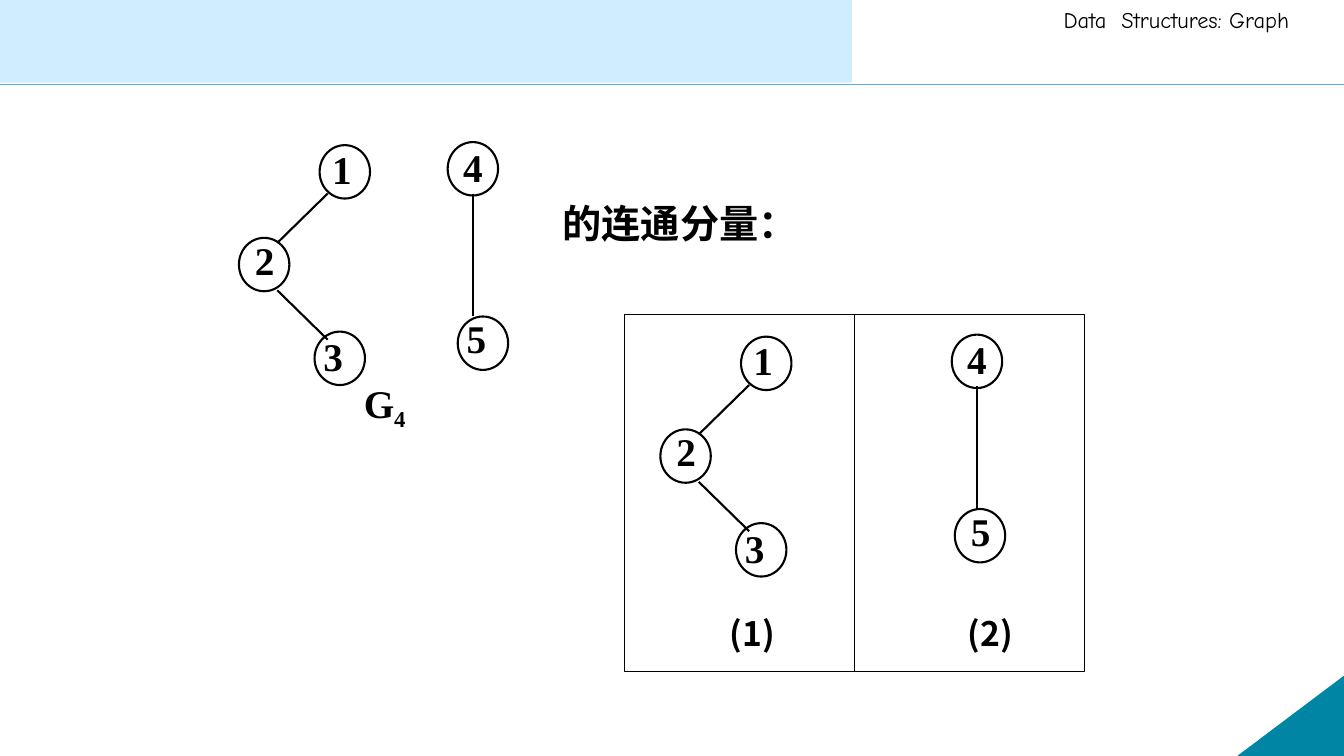
from dataclasses import dataclass

from lxml.etree import SubElement
from pptx import Presentation
from pptx.dml.color import RGBColor
from pptx.enum.shapes import MSO_CONNECTOR, MSO_SHAPE
from pptx.enum.text import MSO_ANCHOR, MSO_AUTO_SIZE, PP_ALIGN
from pptx.oxml.ns import qn
from pptx.util import Inches, Pt


@dataclass(frozen=True)
class Theme:
    ink: str = "000000"
    paper: str = "FFFFFF"
    band: str = "CFEDFE"
    rule: str = "5AAAED"
    corner: str = "0085A4"
    serif: str = "Times New Roman"
    sans: str = "Noto Sans CJK SC"
    casual: str = "Comic Neue"
    large: int = 28
    caption: int = 24
    small: int = 16
    hairline: float = 0.75
    stroke: float = 1.5


THEME = Theme()
NODE_SIZE = (0.5, 0.53)


def write(box, text, font=THEME.serif, size=THEME.large, bold=True, align=PP_ALIGN.LEFT,
          spacing=None, wrap=True, grow=False, subscript=""):
    frame = box.text_frame
    frame.word_wrap = wrap
    frame.vertical_anchor = MSO_ANCHOR.TOP
    frame.auto_size = MSO_AUTO_SIZE.SHAPE_TO_FIT_TEXT if grow else MSO_AUTO_SIZE.NONE
    para = frame.paragraphs[0]
    para.alignment = align
    if spacing:
        para.line_spacing = spacing
    for part in filter(None, (text, subscript)):
        span = para.add_run()
        span.text = part
        span.font.name = font
        span.font.size = Pt(size)
        span.font.bold = bold
        span.font.color.rgb = RGBColor.from_string(THEME.ink)
        properties = span.font._element
        SubElement(properties, qn("a:ea")).set("typeface", THEME.sans)
        if part == subscript:
            properties.set("baseline", "-25000")


class GraphSlide:
    def __init__(self, deck):
        self.slide = deck.slides.add_slide(deck.slide_layouts[5])
        self.shapes = self.slide.shapes

    def start_group(self):
        self.shapes = self.slide.shapes.add_group_shape().shapes

    def end_group(self):
        self.shapes = self.slide.shapes

    def title(self, text, at, **style):
        box = self.slide.shapes.title
        box.left, box.top, box.width, box.height = map(Inches, at)
        write(box, text, **style)

    def text(self, text, at, **style):
        write(self.shapes.add_textbox(*map(Inches, at)), text, **style)

    def shape(self, kind, at, fill=None, line=None, width=THEME.hairline):
        shape = self.shapes.add_shape(kind, *map(Inches, at))
        shape.shadow.inherit = False
        if fill:
            shape.fill.solid()
            shape.fill.fore_color.rgb = RGBColor.from_string(fill)
        else:
            shape.fill.background()
        if line:
            shape.line.color.rgb = RGBColor.from_string(line)
            shape.line.width = Pt(width)
        else:
            shape.line.fill.background()
        return shape

    def line(self, start, end, color=THEME.ink, width=THEME.stroke):
        line = self.shapes.add_connector(MSO_CONNECTOR.STRAIGHT, *map(Inches, start + end))
        line.line.color.rgb = RGBColor.from_string(color)
        line.line.width = Pt(width)
        SubElement(line._element.spPr, qn("a:effectLst"))
        return line

    def node(self, name, at, label, align=PP_ALIGN.CENTER, fill=None):
        self.shape(MSO_SHAPE.FLOWCHART_CONNECTOR, at + NODE_SIZE, fill, THEME.ink, THEME.stroke)
        self.text(name, label, align=align)

    def three_node_part(self, x, y):
        """Draw nodes 1, 2 and 3, with (x, y) the corner of node 2."""
        self.node("2", (x, y), (x - 0.12, y - 0.07, 0.75, 0.79))
        self.node("3", (x + 0.75, y + 0.93), (x + 0.74, y + 0.89, 0.75, 0.8), PP_ALIGN.JUSTIFY)
        self.node("1", (x + 0.8, y - 0.92), (x + 0.77, y - 0.97, 0.5, 0.55), fill=THEME.paper)
        self.line((x + 0.88, y - 0.44), (x + 0.38, y + 0.05))
        self.line((x + 0.38, y + 0.52), (x + 0.88, y + 1.01))

    def two_node_part(self, x, y, shift, label_shift):
        """Draw nodes 4 and 5, with (x, y) the corner of node 4; the shifts move node 5."""
        self.node("5", (x + shift, y + 1.73), (x + label_shift, y + 1.66, 0.52, 0.75),
                  PP_ALIGN.JUSTIFY)
        self.node("4", (x, y), (x, y - 0.04, 0.5, 0.73))
        self.line((x + 0.25, y + 0.51), (x + 0.25, y + 1.73))

    def caption(self, text, x):
        self.text(text, (x, 6.11, 0.71, 0.42), font=THEME.sans, size=THEME.caption,
                  spacing=0.8, wrap=False, grow=True)


def draw_header(page):
    page.line((0, 0.84), (13.33, 0.84), THEME.rule, 1)
    corner = page.shape(MSO_SHAPE.RIGHT_TRIANGLE, (12.28, 6.71, 1.05, 0.79),
                        THEME.corner, THEME.corner)
    corner._element.spPr.find(qn("a:xfrm")).set("flipH", "1")
    page.text("Data  Structures: Graph", (10.45, 0.01, 2.89, 0.37), font=THEME.casual,
              size=THEME.small, bold=False, grow=True)
    page.shape(MSO_SHAPE.RECTANGLE, (0, 0, 8.45, 0.82), THEME.band)


def draw_whole_graph(page):
    page.start_group()
    page.three_node_part(2.37, 2.36)
    page.two_node_part(4.44, 1.41, shift=0.1, label_shift=0.09)
    page.text("G", (3.51, 3.71, 0.83, 0.73), align=PP_ALIGN.JUSTIFY, subscript="4")
    page.end_group()


def draw_components(page):
    page.start_group()
    page.three_node_part(6.55, 4.26)
    page.caption("(1)", 7.14)
    page.start_group()
    page.two_node_part(9.44, 3.32, shift=0.03, label_shift=0.09)
    page.caption("(2)", 9.5)
    page.end_group()
    frame = page.shape(MSO_SHAPE.RECTANGLE, (6.19, 3.12, 4.57, 3.54), line=THEME.ink)
    divider = page.line((8.48, 3.12), (8.48, 6.66), width=THEME.hairline)
    divider.begin_connect(frame, 0)
    divider.end_connect(frame, 2)


def main():
    deck = Presentation()
    deck.slide_width, deck.slide_height = Inches(13.33), Inches(7.5)
    page = GraphSlide(deck)
    draw_header(page)
    draw_whole_graph(page)
    page.title("的连通分量：", (5.48, 2.02, 2.56, 0.48), spacing=0.8, wrap=False, grow=True)
    draw_components(page)
    deck.save("out.pptx")


if __name__ == "__main__":
    main()
